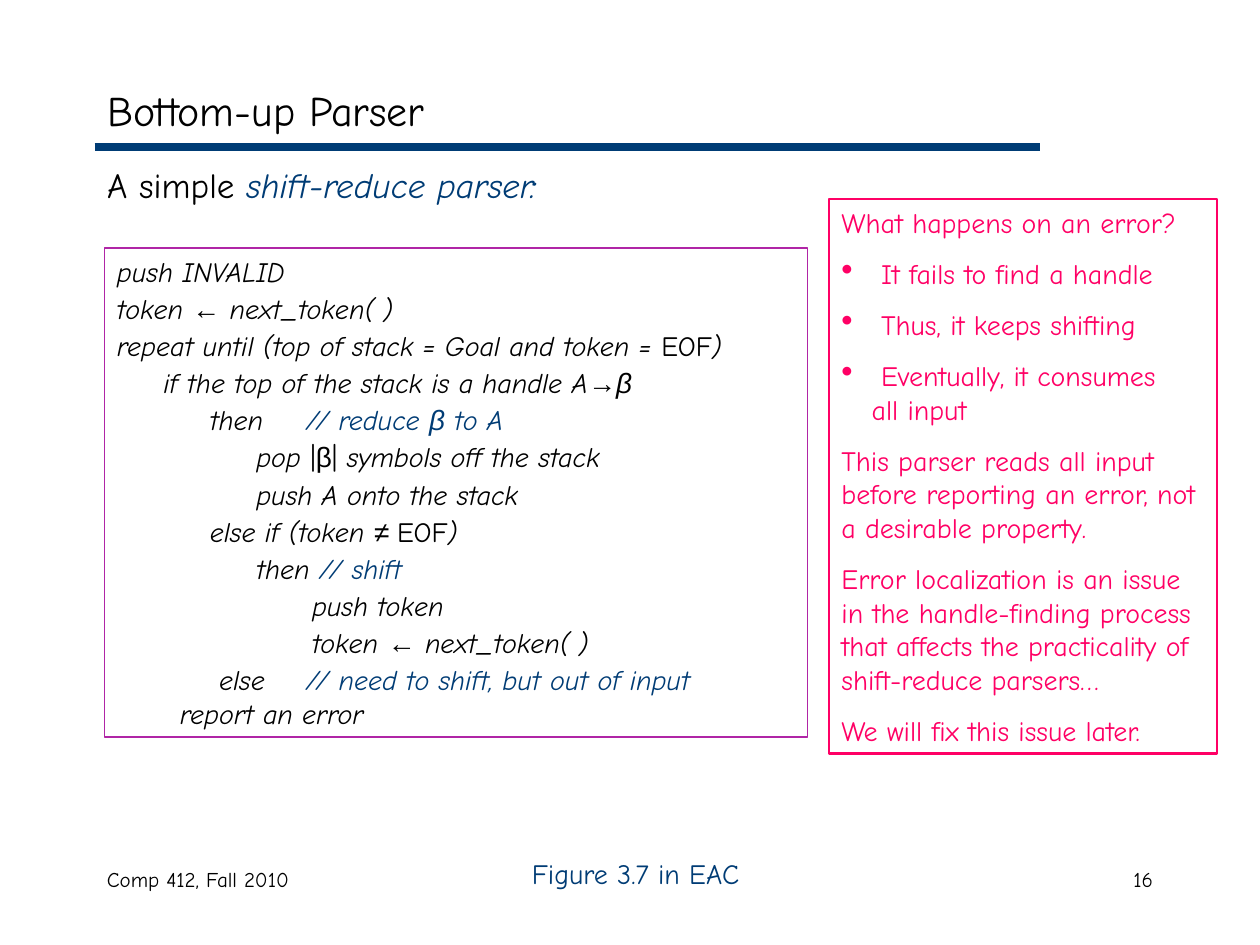
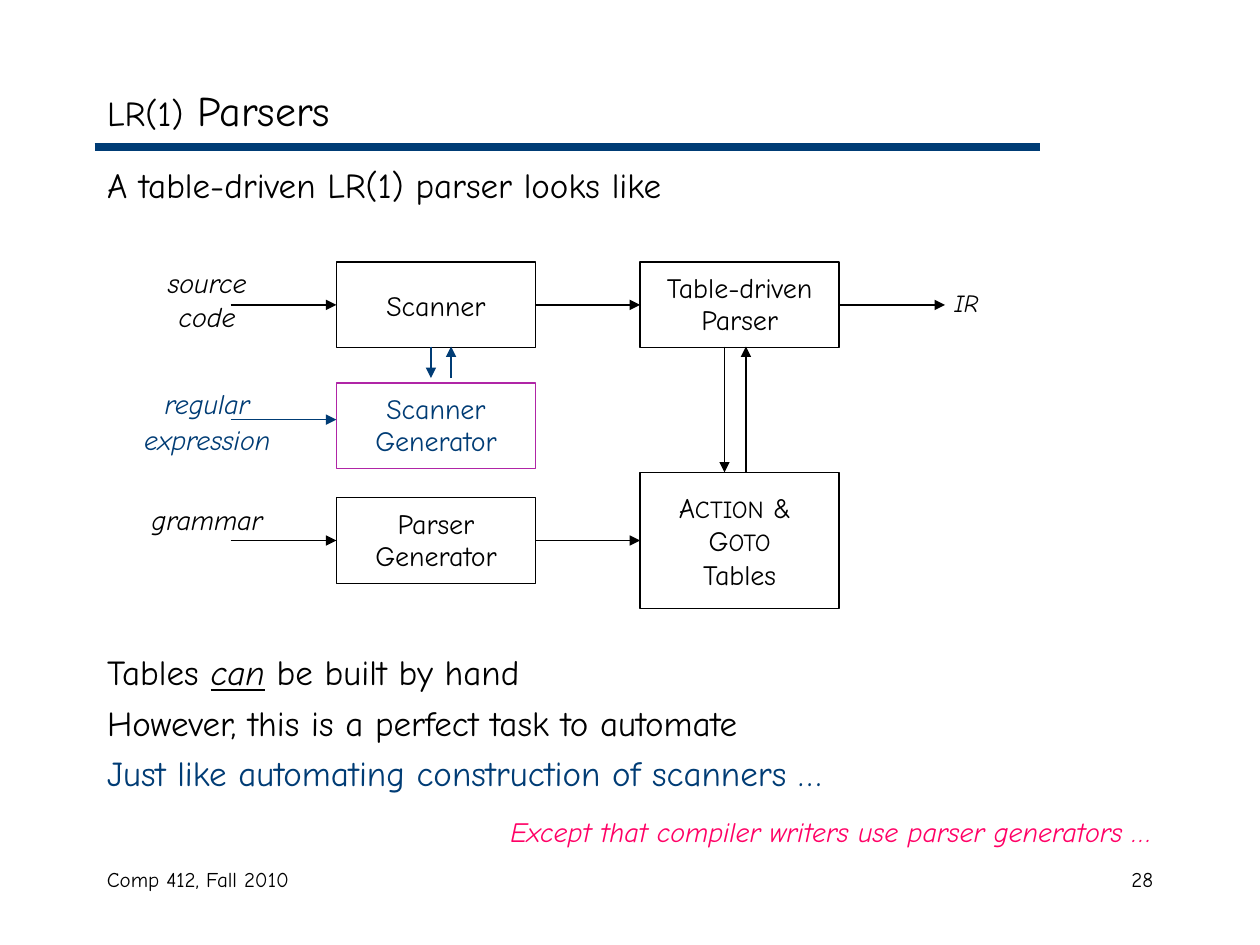
from lxml.etree import SubElement
from pptx import Presentation
from pptx.dml.color import RGBColor
from pptx.enum.shapes import MSO_CONNECTOR, MSO_SHAPE
from pptx.enum.text import MSO_ANCHOR as ANCHOR, MSO_AUTO_SIZE as AUTO_SIZE, PP_ALIGN as ALIGN
from pptx.oxml.ns import qn
from pptx.util import Inches, Pt

FONT = "Comic Neue"
BLACK, NAVY, PURPLE, PINK = "000000", "003C75", "B025A6", "FF0065"
rgb = RGBColor.from_string


def write(frame, text, size=16, color=BLACK, italic=False, align=ALIGN.LEFT,
          before=0, spacing=None, hang=0, bullet=None, tab=None):
    first = not frame.paragraphs[0].runs
    paragraph = frame.paragraphs[0] if first else frame.add_paragraph()
    paragraph.alignment = align
    paragraph.space_before = Pt(0 if first else before)
    if spacing:
        paragraph.line_spacing = spacing
    props = paragraph._p.get_or_add_pPr()
    props.set("marL", str(Inches(hang)))
    props.set("indent", str(-Inches(hang)))
    if bullet:
        SubElement(SubElement(props, qn("a:buClr")), qn("a:srgbClr"), val=color)
        SubElement(props, qn("a:buSzPct"), val="120000")
        SubElement(props, qn("a:buChar"), char=bullet)
    else:
        SubElement(props, qn("a:buNone"))
    if tab:
        SubElement(SubElement(props, qn("a:tabLst")), qn("a:tab"), pos=str(Inches(tab)), algn="l")
    for piece, change in [(text, {})] if isinstance(text, str) else text:
        if piece == "\n":
            paragraph.add_line_break()
            continue
        run = paragraph.add_run()
        run.text = piece
        run.font.name = change.get("font", FONT)
        run.font.size = Pt(change.get("size", size))
        run.font.italic = change.get("italic", italic)
        run.font.underline = change.get("underline", False)
        run.font.color.rgb = rgb(change.get("color", color))


def draw_line(slide, start, end, color, width=0.75, arrow=True):
    line = slide.shapes.add_connector(MSO_CONNECTOR.STRAIGHT, *map(Inches, start + end))
    line.line.color.rgb = rgb(color)
    line.line.width = Pt(width)
    props = line.element.spPr
    if arrow:
        SubElement(props.find(qn("a:ln")), qn("a:tailEnd"), type="triangle")
    SubElement(props, qn("a:effectLst"))
    return line


prs = Presentation()
prs.slide_width, prs.slide_height = Inches(10), Inches(7.5)

slides = []
for heading, number in [
    ("Bottom-up Parser", "16"),
    ([("LR(1)", {"size": 20}), (" Parsers", {})], "28"),
]:
    slide = prs.slides.add_slide(prs.slide_layouts[1])
    slides.append(slide)
    draw_line(slide, (0.75, 1.17), (8.25, 1.17), NAVY, width=4.5, arrow=False)
    for left, width, text, align in [
        (0.75, 3.17, "Comp 412, Fall 2010", ALIGN.LEFT),
        (7.17, 2.08, number, ALIGN.RIGHT),
    ]:
        footer = slide.shapes.add_textbox(Inches(left), Inches(6.83), Inches(width), Inches(0.5))
        footer.text_frame.word_wrap = True
        write(footer.text_frame, text, size=12, align=align)
    for holder, top, height, anchor in [
        (slide.shapes.title, 0.58, 0.58, ANCHOR.MIDDLE),
        (slide.placeholders[1], 1.25, 5.42, ANCHOR.TOP),
    ]:
        holder.left, holder.top = Inches(0.75), Inches(top)
        holder.width, holder.height = Inches(8.5), Inches(height)
        holder.text_frame.auto_size = AUTO_SIZE.NONE
        holder.text_frame.vertical_anchor = anchor
    write(slide.shapes.title.text_frame, heading, size=24)

bottom_up, table_driven = slides

write(bottom_up.placeholders[1].text_frame,
      [("A simple ", {}), ("shift-reduce parser:", {"color": NAVY, "italic": True})],
      size=20, hang=0.38)

panels = []
for left, top, width, height, color, weight in [
    (0.83, 1.97, 5.58, 3.88, PURPLE, 1),
    (6.58, 1.58, 3.08, 4.4, PINK, 1.5),
]:
    panel = bottom_up.shapes.add_shape(MSO_SHAPE.RECTANGLE, *map(Inches, (left, top, width, height)))
    panel.shadow.inherit = False
    panel.fill.background()
    panel.line.color.rgb = rgb(color)
    panel.line.width = Pt(weight)
    panel.text_frame.word_wrap = True
    panel.text_frame.vertical_anchor = ANCHOR.TOP
    panels.append(panel.text_frame)
algorithm, error_notes = panels

symbol = {"font": "Arial"}
upright = {"italic": False}
comment = {"color": NAVY}
for code, tab in [
    ("push INVALID", None),
    ([("token ", {}), ("←", symbol), (" next_token( )", {})], None),
    ([("repeat until (top of stack = Goal and token = ", {}), ("EOF", upright), (")", {})], None),
    ([("     if the top of the stack is a handle A", {}), ("→β", symbol)], None),
    ([("          then\t", {}), ("// reduce ", comment), ("β", symbol | comment),
      (" to A", comment)], 1.6),
    ([("               pop ", {}), ("|", upright), ("β", symbol | upright), ("| ", upright),
      ("symbols off the stack", {})], None),
    ("               push A onto the stack", None),
    ([("          else if (token ", {}), ("≠ ", symbol), ("EOF", upright), (")", {})], None),
    ([("               then ", {}), ("// shift", comment)], None),
    ("                     push token", None),
    ([("                     token ", {}), ("←", symbol), (" next_token( )", {})], None),
    ([("           else\t", {}), ("// need to shift, but out of input", comment)], 1.55),
]:
    write(algorithm, code, italic=True, before=2, tab=tab)
write(algorithm, "\treport an error", italic=True, tab=1)

write(error_notes, "What happens on an error?", color=PINK)
for symptom in [
    " It fails to find a handle",
    " Thus, it keeps shifting",
    [(" Eventually, it consumes", {}), ("\n", {}), ("all input", {})],
]:
    write(error_notes, symptom, color=PINK, before=10, hang=0.24, bullet="•")
for remark in [
    "This parser reads all input before reporting an error, not a desirable property.",
    "Error localization is an issue in the handle-finding process that affects "
    "the practicality of shift-reduce parsers…",
    "We will fix this issue later.",
]:
    write(error_notes, remark, color=PINK, before=10)

figure_credit = bottom_up.shapes.add_textbox(Inches(3.42), Inches(6.75), Inches(3.25), Inches(0.37))
figure_credit.text_frame.word_wrap = True
write(figure_credit.text_frame, "Figure 3.7 in EAC", color=NAVY, align=ALIGN.CENTER)

points = table_driven.placeholders[1].text_frame
for point, before, color in [
    ("A table-driven LR(1) parser looks like", 0, BLACK),
    ([("Tables ", {}), ("can", {"italic": True, "underline": True}), (" be built by hand", {})],
     254, BLACK),
    ("However, this is a perfect task to automate", 5, BLACK),
    ("Just like automating construction of scanners …", 5, NAVY),
]:
    write(points, point, size=20, color=color, before=before, hang=0.38)
write(points, "Except that compiler writers use parser generators …",
      color=PINK, italic=True, align=ALIGN.RIGHT, before=12, hang=0.38)

small = {"size": 14}
stages = []
for left, top, height, lines, spacing, outline, color in [
    (2.67, 2.08, 0.68, ["Scanner"], None, BLACK, BLACK),
    (5.08, 2.08, 0.68, ["Table-driven", "Parser"], 0.95, BLACK, BLACK),
    (5.08, 3.75, 1.08, [[("A", {}), ("CTION", small), (" & ", {})],
                        [("G", {}), ("OTO", small)], "Tables"], None, BLACK, BLACK),
    (2.67, 3.95, 0.68, ["Parser", "Generator"], 0.95, BLACK, BLACK),
    (2.67, 3.04, 0.68, ["Scanner", "Generator"], 0.95, PURPLE, NAVY),
]:
    stage = table_driven.shapes.add_shape(MSO_SHAPE.RECTANGLE, *map(Inches, (left, top, 1.58, height)))
    stage.shadow.inherit = False
    stage.fill.background()
    stage.line.color.rgb = rgb(outline)
    stage.line.width = Pt(0.75)
    stage.text_frame.word_wrap = False
    stage.text_frame.vertical_anchor = ANCHOR.MIDDLE
    for line in lines:
        write(stage.text_frame, line, color=color, align=ALIGN.CENTER, spacing=spacing)
    stages.append(stage)
scanner, parser, tables, parser_generator, scanner_generator = stages

for start_x, end_x, y, source, target in [
    (1.83, 2.67, 2.42, None, scanner),
    (4.25, 5.08, 2.42, scanner, parser),
    (6.66, 7.5, 2.42, parser, None),
    (1.83, 2.67, 4.29, None, parser_generator),
    (4.25, 5.08, 4.29, parser_generator, tables),
]:
    flow = draw_line(table_driven, (start_x, y), (end_x, y), BLACK)
    if source:
        flow.begin_connect(source, 3)
    if target:
        flow.end_connect(target, 1)

for start, end, color in [
    ((1.83, 3.33), (2.67, 3.33), NAVY),
    ((3.42, 2.75), (3.42, 3), NAVY),
    ((3.58, 3), (3.58, 2.75), NAVY),
    ((5.75, 2.75), (5.75, 3.75), BLACK),
    ((5.92, 3.75), (5.92, 2.75), BLACK),
]:
    draw_line(table_driven, start, end, color)

for left, top, width, height, lines, size, color, before in [
    (0.98, 2.06, 1.33, 0.64, ["source", "code"], 16, BLACK, 0),
    (0.98, 3.02, 1.33, 0.65, ["regular", "expression"], 16, NAVY, 1),
    (0.98, 3.94, 1.33, 0.37, ["grammar"], 16, BLACK, 0),
    (7.38, 2.24, 0.58, 0.34, ["IR"], 14, BLACK, 0),
]:
    label = table_driven.shapes.add_textbox(*map(Inches, (left, top, width, height)))
    label.text_frame.word_wrap = True
    for line in lines:
        write(label.text_frame, line, size=size, color=color, italic=True,
              align=ALIGN.CENTER, before=before)

prs.save("out.pptx")
